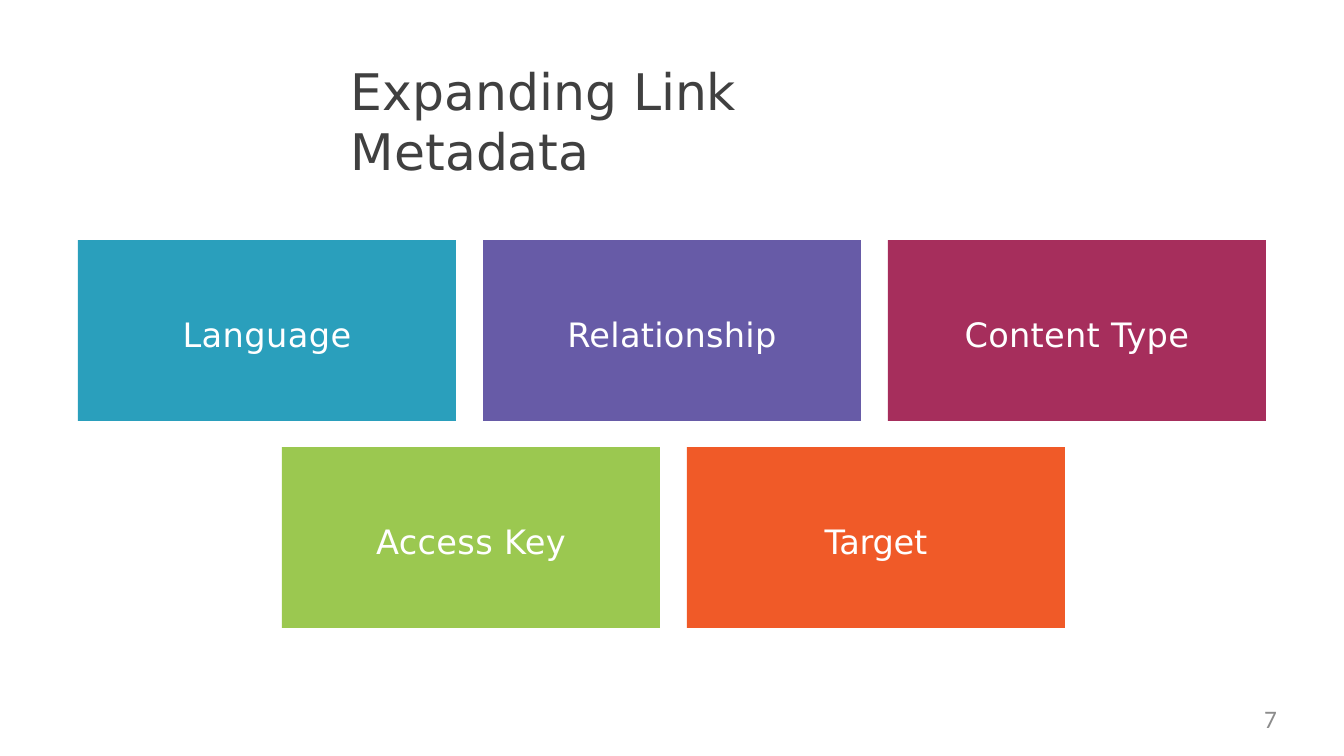
from dataclasses import dataclass

from pptx import Presentation
from pptx.dml.color import RGBColor
from pptx.enum.shapes import MSO_SHAPE
from pptx.enum.text import MSO_ANCHOR, PP_ALIGN
from pptx.util import Emu, Pt

RECT = MSO_SHAPE.RECTANGLE
TOP, MIDDLE = MSO_ANCHOR.TOP, MSO_ANCHOR.MIDDLE
LEFT, CENTER, RIGHT = PP_ALIGN.LEFT, PP_ALIGN.CENTER, PP_ALIGN.RIGHT
EMU_PER_PX = 9071.43


@dataclass(frozen=True)
class Theme:
    font: str = "DejaVu Sans"
    number_font: str = "Calibri"
    title_size: int = 36
    tile_size: int = 24
    number_size: int = 18
    title: str = "404040"
    on_tile: str = "FFFFFF"
    number: str = "8C8C8C"
    teal: str = "2A9FBC"
    violet: str = "675BA7"
    berry: str = "A62E5C"
    green: str = "9BC850"
    orange: str = "F05A28"


THEME = Theme()


def px(n):
    return Emu(round(n * EMU_PER_PX))


def write(s, text, font, size, color, align, anchor, insets=(0, 0, 0, 0), tracking=0):
    """Fill a shape with one formatted paragraph; insets run left, top, right, bottom."""
    tf = s.text_frame
    left, top, right, bottom = map(px, insets)
    frame = {"word_wrap": True, "vertical_anchor": anchor, "margin_left": left,
             "margin_top": top, "margin_right": right, "margin_bottom": bottom}
    for name, value in frame.items():
        setattr(tf, name, value)
    p = tf.paragraphs[0]
    p.alignment = align
    r = p.add_run()
    r.text = text
    for name, value in {"name": font, "size": Pt(size)}.items():
        setattr(r.font, name, value)
    r.font.color.rgb = RGBColor.from_string(color)
    if tracking:  # hundredths of a point
        r._r.get_or_add_rPr().set("spc", str(tracking))


def add_title(slide, box, text):
    s = slide.shapes.add_textbox(*map(px, box))
    write(s, text, THEME.font, THEME.title_size, THEME.title, LEFT, TOP,
          insets=(1, 3, 8, 0))


def add_tile_row(slide, box, gap, tiles, columns):
    """Place tiles from the left of the box, sized so that `columns` fill its width."""
    x, y, w, h = box
    tile_w = (w - gap * (columns - 1)) / columns
    for i, (label, color, tracking) in enumerate(tiles):
        left = x + i * (tile_w + gap)
        s = slide.shapes.add_shape(RECT, px(left), px(y), px(tile_w), px(h))
        s.shadow.inherit = False
        s.fill.solid()
        s.fill.fore_color.rgb = RGBColor.from_string(color)
        s.line.fill.background()
        write(s, label, THEME.font, THEME.tile_size, THEME.on_tile, CENTER, MIDDLE,
              insets=(0, 7, 0, 0), tracking=tracking)


def add_number(slide, box, text):
    s = slide.shapes.add_textbox(*map(px, box))
    write(s, text, THEME.number_font, THEME.number_size, THEME.number, RIGHT, TOP)


def main():
    prs = Presentation()
    prs.slide_width, prs.slide_height = px(1344), px(756)
    slide = prs.slides.add_slide(prs.slide_layouts[6])

    # Heading
    add_title(slide, (350, 57, 635, 64), "Expanding Link Metadata")

    # Metadata tiles: three above, two below
    upper = [("Language", THEME.teal, 30), ("Relationship", THEME.violet, 20),
             ("Content Type", THEME.berry, 20)]
    lower = [("Access Key", THEME.green, 25), ("Target", THEME.orange, -20)]
    add_tile_row(slide, (78, 240, 1188, 181), 27, upper, 3)
    add_tile_row(slide, (282, 447, 783, 181), 27, lower, 2)

    # Slide number
    add_number(slide, (968, 703, 309, 38), "7")

    prs.save("out.pptx")


if __name__ == "__main__":
    main()
